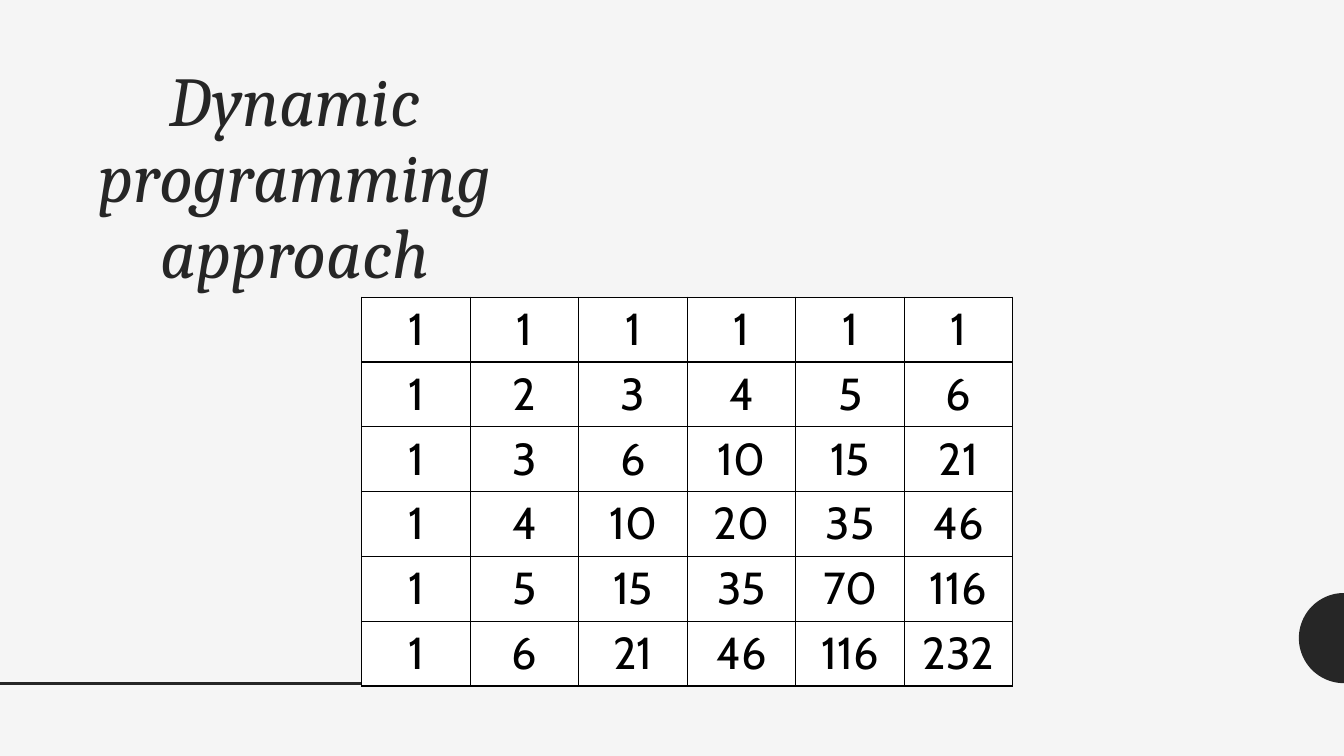
from math import cos, pi, sin

from lxml.etree import SubElement
from pptx import Presentation
from pptx.dml.color import RGBColor
from pptx.enum.shapes import MSO_CONNECTOR
from pptx.enum.text import MSO_ANCHOR, PP_ALIGN
from pptx.oxml.ns import qn
from pptx.util import Pt

COLORS = {
    "background": "F5F5F5",
    "ink": "262626",
    "cell": "FFFFFF",
    "grid": "000000",
}
PATH_COUNTS = [
    [1, 1, 1, 1, 1, 1],
    [1, 2, 3, 4, 5, 6],
    [1, 3, 6, 10, 15, 21],
    [1, 4, 10, 20, 35, 46],
    [1, 5, 15, 35, 70, 116],
    [1, 6, 21, 46, 116, 232],
]


def color(name):
    return RGBColor.from_string(COLORS[name])


def add_borders(cell):
    properties = cell._tc.get_or_add_tcPr()
    for position, side in enumerate(("lnL", "lnR", "lnT", "lnB")):
        border = properties.makeelement(qn(f"a:{side}"), {"w": str(Pt(1))})
        fill = SubElement(border, qn("a:solidFill"))
        SubElement(fill, qn("a:srgbClr"), val=COLORS["grid"])
        properties.insert(position, border)


deck = Presentation()
deck.slide_width, deck.slide_height = Pt(960), Pt(540)
page = deck.slides.add_slide(deck.slide_layouts[6])
page.background.fill.solid()
page.background.fill.fore_color.rgb = color("background")

# Half disc on the right edge
center_x, center_y, radius, steps = 960, 455.8, 32.2, 48
arc = []
for step in range(steps + 1):
    angle = pi / 2 + pi * step / steps
    arc.append((Pt(center_x + radius * cos(angle)), Pt(center_y + radius * sin(angle))))
builder = page.shapes.build_freeform(*arc[0])
builder.add_line_segments(arc[1:], close=True)
half_disc = builder.convert_to_shape()
half_disc.shadow.inherit = False
half_disc.fill.solid()
half_disc.fill.fore_color.rgb = color("ink")
half_disc.line.fill.background()

# Rule along the bottom
rule = page.shapes.add_connector(MSO_CONNECTOR.STRAIGHT, Pt(0), Pt(488), Pt(354), Pt(488))
rule.line.color.rgb = color("ink")
rule.line.width = Pt(2)
SubElement(rule._element.spPr, qn("a:effectLst"))

# Title
title = page.shapes.add_textbox(Pt(60), Pt(44), Pt(301.5), Pt(390))
title.text_frame.word_wrap = True
title.text_frame.vertical_anchor = MSO_ANCHOR.TOP
para = title.text_frame.paragraphs[0]
para.text = "Dynamic programming approach"
para.alignment = PP_ALIGN.CENTER
para.line_spacing = 0.9
para.font.name = "Cambria"
para.font.size = Pt(50)
para.font.italic = True
para.font.color.rgb = color("ink")

# Table of path counts
size = len(PATH_COUNTS)
column_width, row_height = 77.5, 46.3
table = page.shapes.add_table(
    size, size, Pt(258.5), Pt(212.3), Pt(size * column_width), Pt(size * row_height)
).table
for column in table.columns:
    column.width = Pt(column_width)
for row, counts in zip(table.rows, PATH_COUNTS):
    row.height = Pt(row_height)
    for cell, count in zip(row.cells, counts):
        cell.fill.solid()
        cell.fill.fore_color.rgb = color("cell")
        add_borders(cell)
        para = cell.text_frame.paragraphs[0]
        para.text = str(count)
        para.alignment = PP_ALIGN.CENTER
        para.font.name = "Cabin"
        para.font.size = Pt(32)
        para.font.bold = False
        para.font.color.rgb = color("grid")

deck.save("out.pptx")
